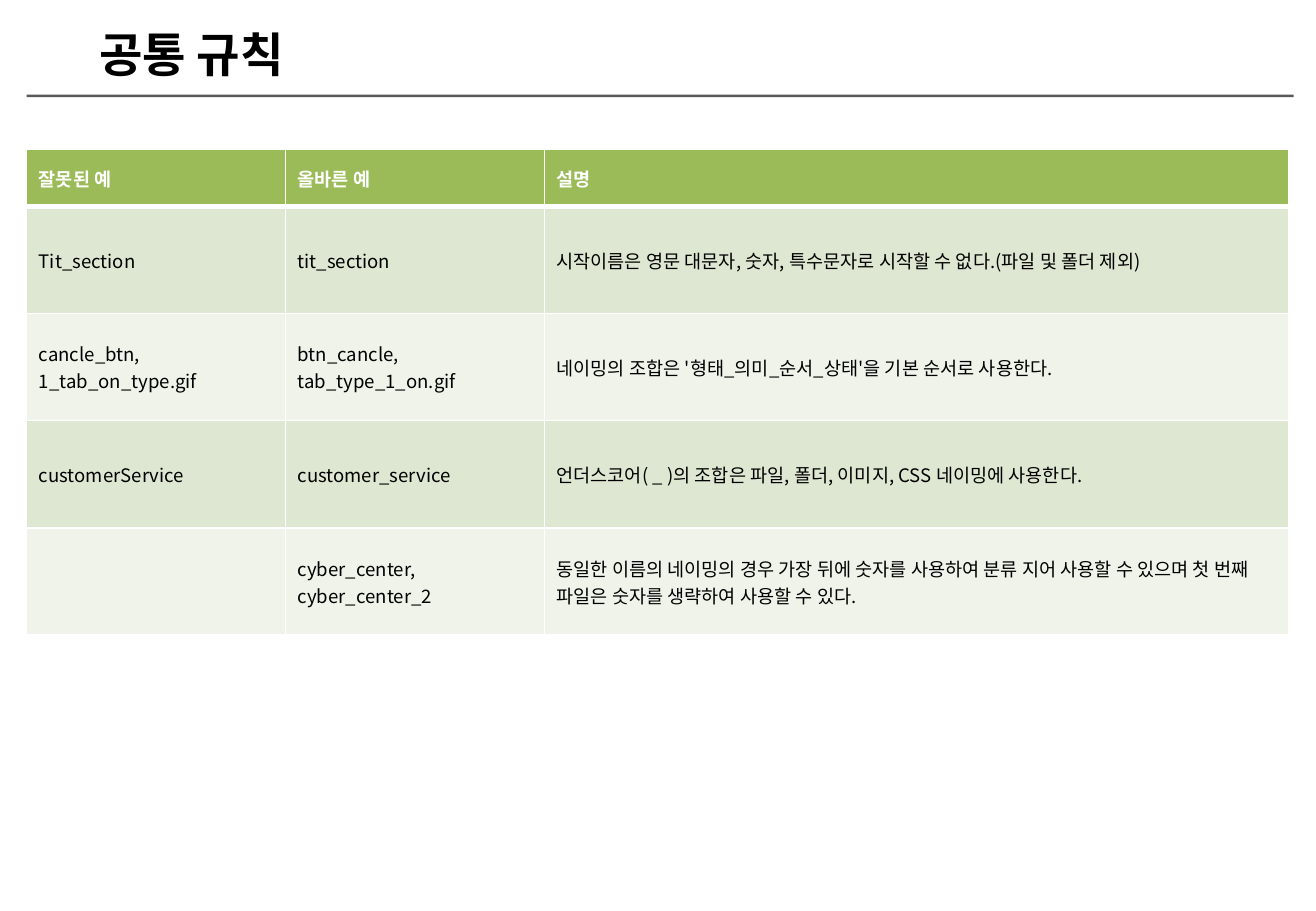
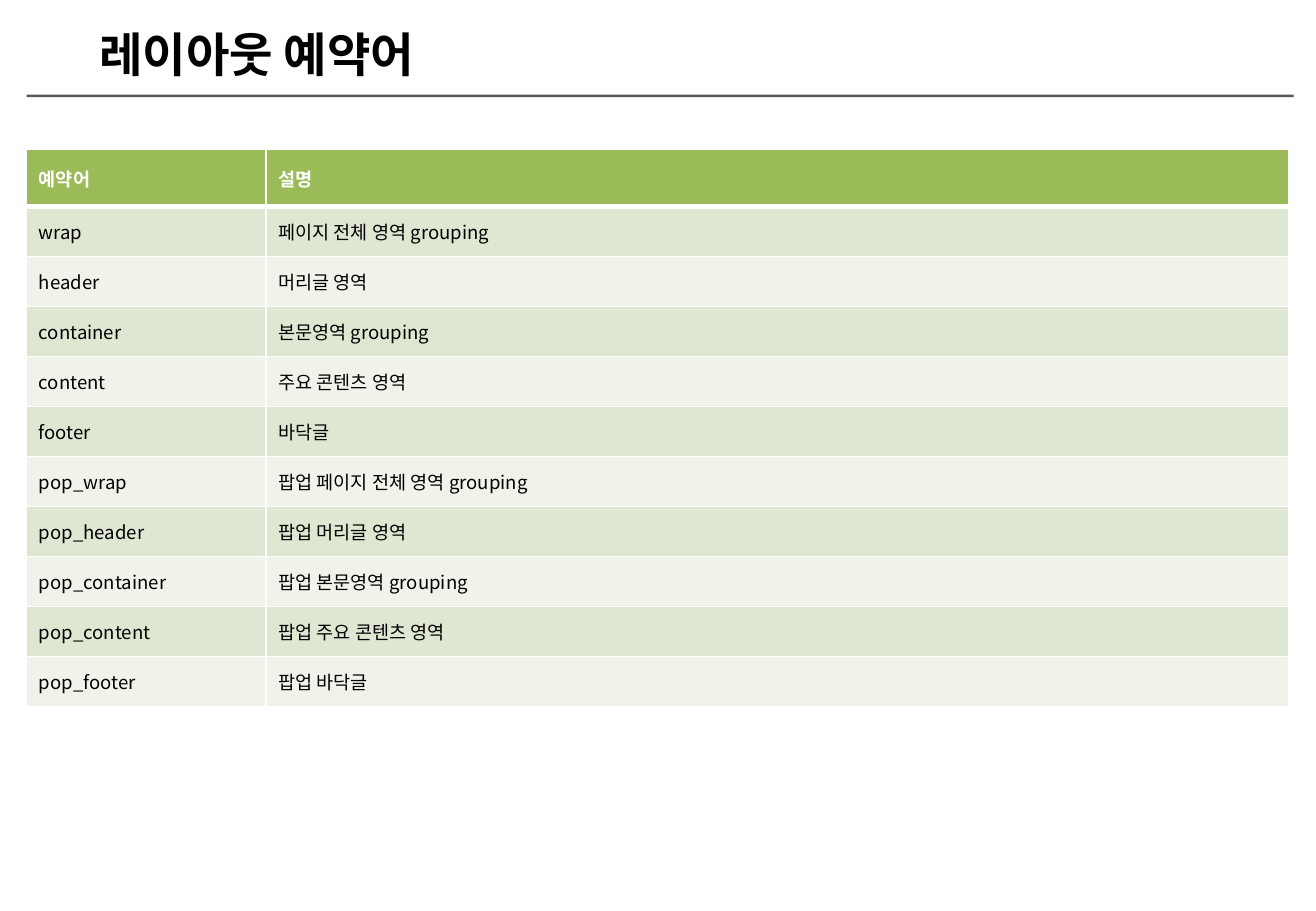
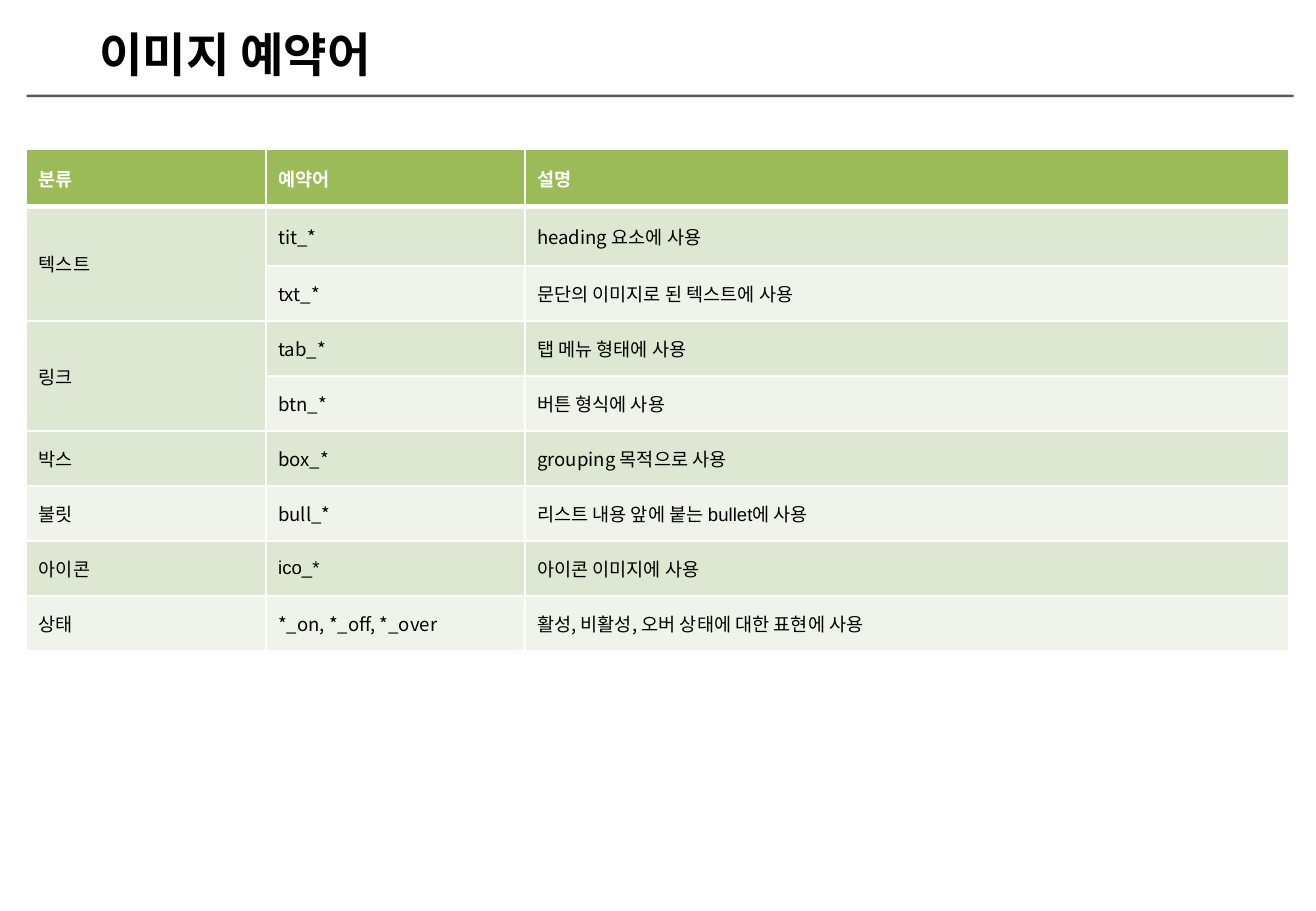
from lxml.etree import SubElement as Sub
from pptx import Presentation as Deck
from pptx.dml.color import RGBColor as RGB
from pptx.enum.shapes import MSO_SHAPE as Shape
from pptx.enum.text import MSO_ANCHOR as Anchor, MSO_AUTO_SIZE as Fit
from pptx.oxml import parse_xml
from pptx.oxml.ns import nsdecls, qn
from pptx.util import Inches, Pt

SANS, ARIAL = "Noto Sans CJK KR", "Arial"
BLACK, WHITE, GRAY = "000000", "FFFFFF", "595959"
GREEN, BANDS = "9BBB59", ("DEE7D1", "EFF3EA")


def paint(fill, code):
    fill.solid()
    fill.fore_color.rgb = RGB.from_string(code)


def write(frame, text, size=11, font=SANS, color=BLACK, bold=False):
    """Fill a text frame, one paragraph per line."""
    for i, line in enumerate(text.split("\n")):
        para = frame.add_paragraph() if i else frame.paragraphs[0]
        run = para.add_run()
        run.text = line
        run.font.size, run.font.bold, run.font.name = Pt(size), bold, font
        run.font.color.rgb = RGB.from_string(color)
        Sub(run._r.get_or_add_rPr(), qn("a:ea"), typeface=SANS)


def edge(cell, top, base):
    """Draw white cell borders; widths are in points."""
    props = cell._tc.get_or_add_tcPr()
    for i, (side, width) in enumerate(zip("LRTB", (1, 1, top, base))):
        props.insert(i, parse_xml(
            f'<a:ln{side} {nsdecls("a")} w="{Pt(width)}"><a:solidFill>'
            f'<a:srgbClr val="{WHITE}"/></a:solidFill></a:ln{side}>'))


class Page:
    """Holds the deck, its style and the current slide.

    Lengths are percent of the slide's width or height.
    """
    LEFT, WIDE, TOP, HEAD = 2.03, 95.93, 16.4, 6.27

    def __init__(self):
        self.deck = Deck()
        self.deck.slide_width = Inches(10.83)
        self.deck.slide_height = Inches(7.5)

    def x(self, share):
        return round(self.deck.slide_width * share / 100)

    def y(self, share):
        return round(self.deck.slide_height * share / 100)

    def box(self, left, top, wide, high):
        return self.x(left), self.y(top), self.x(wide), self.y(high)

    def start(self, title, wide):
        self.slide = self.deck.slides.add_slide(self.deck.slide_layouts[6])
        self.rule()
        self.title(title, wide)

    def rule(self):
        bar = self.slide.shapes.add_shape(
            Shape.RECTANGLE, *self.box(self.LEFT, 10.4, 96.28, 0.27))
        bar.shadow.inherit = False
        paint(bar.fill, GRAY)
        bar.line.fill.background()

    def title(self, text, wide):
        area = self.slide.shapes.add_textbox(*self.box(6.65, 2.13, wide, 7.6))
        frame = area.text_frame
        frame.word_wrap = False
        frame.auto_size = Fit.SHAPE_TO_FIT_TEXT
        write(frame, text, size=28, bold=True)

    def table(self, cols, highs, rows, arial=()):
        """Draw a banded grid; None joins a cell to the one above."""
        cols = [*cols, self.WIDE - sum(cols)]
        highs = [self.HEAD, *highs]
        grid = self.slide.shapes.add_table(
            len(rows), len(cols),
            *self.box(self.LEFT, self.TOP, self.WIDE, sum(highs))).table
        for col, wide in zip(grid.columns, cols):
            col.width = self.x(wide)
        for row, high in zip(grid.rows, highs):
            row.height = self.y(high)
        for r, row in enumerate(rows):
            for c, text in enumerate(row):
                cell = grid.cell(r, c)
                head = r == 0
                paint(cell.fill, GREEN if head else BANDS[(r - 1) % 2])
                edge(cell, 3 if r == 1 else 1, 3 if head else 1)
                cell.vertical_anchor = Anchor.MIDDLE
                if text is None:
                    grid.cell(r - 1, c).merge(cell)
                elif text:
                    write(cell.text_frame, text, bold=head,
                          color=WHITE if head else BLACK,
                          font=ARIAL if (r, c) in arial else SANS)


def main():
    page = Page()

    # Common rules
    page.start("공통 규칙", 17.63)
    page.table([19.67] * 2, [11.76] * 4, [
        ("잘못된 예", "올바른 예", "설명"),
        ("Tit_section", "tit_section",
         "시작이름은 영문 대문자, 숫자, 특수문자로 시작할 수 없다.(파일 및 폴더 제외)"),
        ("cancle_btn,\n1_tab_on_type.gif", "btn_cancle,\ntab_type_1_on.gif",
         "네이밍의 조합은 '형태_의미_순서_상태'을 기본 순서로 사용한다."),
        ("customerService", "customer_service",
         "언더스코어( _ )의 조합은 파일, 폴더, 이미지, CSS 네이밍에 사용한다."),
        ("", "cyber_center,\ncyber_center_2",
         "동일한 이름의 네이밍의 경우 가장 뒤에 숫자를 사용하여 분류 지어 "
         "사용할 수 있으며 첫 번째 파일은 숫자를 생략하여 사용할 수 있다."),
    ])

    # Layout words
    page.start("레이아웃 예약어", 28.44)
    page.table([18.19], [5.49] * 10, [
        ("예약어", "설명"),
        ("wrap", "페이지 전체 영역 grouping"),
        ("header", "머리글 영역"),
        ("container", "본문영역 grouping"),
        ("content", "주요 콘텐츠 영역"),
        ("footer", "바닥글"),
        ("pop_wrap", "팝업 페이지 전체 영역 grouping"),
        ("pop_header", "팝업 머리글 영역"),
        ("pop_container", "팝업 본문영역 grouping"),
        ("pop_content", "팝업 주요 콘텐츠 영역"),
        ("pop_footer", "팝업 바닥글"),
    ], arial={(0, 0)})

    # Image words
    page.start("이미지 예약어", 24.84)
    page.table([18.19, 19.67], [6.53] + [6.04] * 7, [
        ("분류", "예약어", "설명"),
        ("텍스트", "tit_*", "heading 요소에 사용"),
        (None, "txt_*", "문단의 이미지로 된 텍스트에 사용"),
        ("링크", "tab_*", "탭 메뉴 형태에 사용"),
        (None, "btn_*", "버튼 형식에 사용"),
        ("박스", "box_*", "grouping 목적으로 사용"),
        ("불릿", "bull_*", "리스트 내용 앞에 붙는 bullet에 사용"),
        ("아이콘", "ico_*", "아이콘 이미지에 사용"),
        ("상태", "*_on, *_off, *_over",
         "활성, 비활성, 오버 상태에 대한 표현에 사용"),
    ], arial={(0, 0), (0, 1), (0, 2), (6, 0), (6, 2), (7, 1), (7, 2)})

    page.deck.save("out.pptx")


if __name__ == "__main__":
    main()
